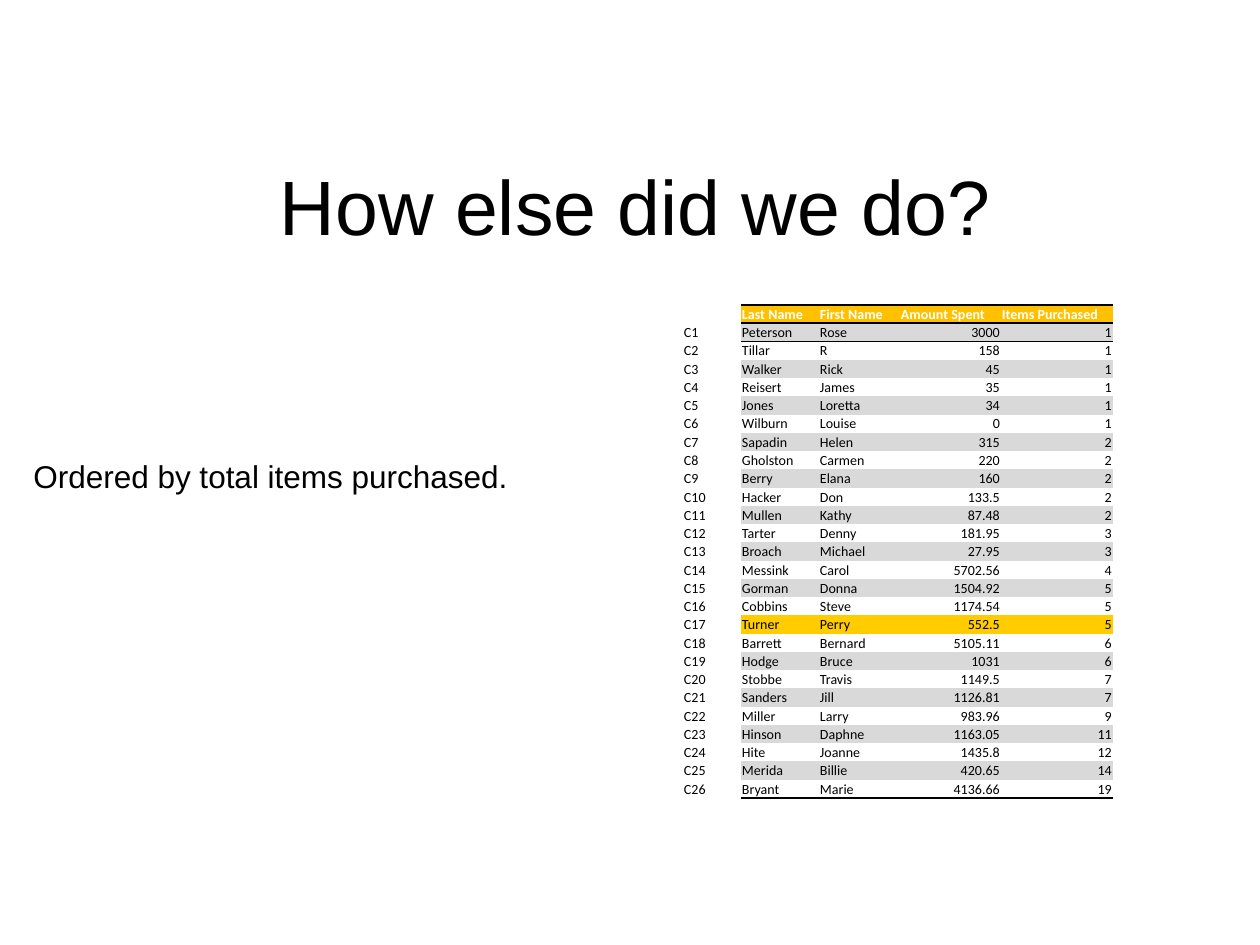
from typing import NamedTuple

from lxml.etree import SubElement
from pptx import Presentation
from pptx.dml.color import RGBColor
from pptx.enum.text import MSO_ANCHOR as Anchor, PP_ALIGN as Align
from pptx.oxml.ns import qn
from pptx.util import Emu, Pt

EMU_PER_PX = 914400 // 126
BLACK = RGBColor(0x00, 0x00, 0x00)
WHITE = RGBColor(0xFF, 0xFF, 0xFF)
GOLD = RGBColor(0xFF, 0xC0, 0x00)
YELLOW = RGBColor(0xFF, 0xCC, 0x00)
GRAY = RGBColor(0xD9, 0xD9, 0xD9)
NO_STYLE = "{2D5ABB26-0587-4C30-8999-92F81FD0307C}"

TABLE_HEIGHT = 489
COLUMN_WIDTHS = (58, 78, 81, 101, 112)
HEADINGS = ("", "Last Name", "First Name", "Amount Spent", "Items Purchased")
HIGHLIGHTED = "Turner"


class Box(NamedTuple):
    left: int
    top: int
    width: int
    height: int


class Customer(NamedTuple):
    last_name: str
    first_name: str
    amount: str
    items: int


CUSTOMERS = (
    Customer("Peterson", "Rose", "3000", 1),
    Customer("Tillar", "R", "158", 1),
    Customer("Walker", "Rick", "45", 1),
    Customer("Reisert", "James", "35", 1),
    Customer("Jones", "Loretta", "34", 1),
    Customer("Wilburn", "Louise", "0", 1),
    Customer("Sapadin", "Helen", "315", 2),
    Customer("Gholston", "Carmen", "220", 2),
    Customer("Berry", "Elana", "160", 2),
    Customer("Hacker", "Don", "133.5", 2),
    Customer("Mullen", "Kathy", "87.48", 2),
    Customer("Tarter", "Denny", "181.95", 3),
    Customer("Broach", "Michael", "27.95", 3),
    Customer("Messink", "Carol", "5702.56", 4),
    Customer("Gorman", "Donna", "1504.92", 5),
    Customer("Cobbins", "Steve", "1174.54", 5),
    Customer("Turner", "Perry", "552.5", 5),
    Customer("Barrett", "Bernard", "5105.11", 6),
    Customer("Hodge", "Bruce", "1031", 6),
    Customer("Stobbe", "Travis", "1149.5", 7),
    Customer("Sanders", "Jill", "1126.81", 7),
    Customer("Miller", "Larry", "983.96", 9),
    Customer("Hinson", "Daphne", "1163.05", 11),
    Customer("Hite", "Joanne", "1435.8", 12),
    Customer("Merida", "Billie", "420.65", 14),
    Customer("Bryant", "Marie", "4136.66", 19),
)


def px(length: int) -> Emu:
    return Emu(length * EMU_PER_PX)


def place(shape, box: Box) -> None:
    shape.left, shape.top, shape.width, shape.height = map(px, box)


def write(text_frame, text: str, *, size: int, font="Calibri", color=BLACK,
          bold=False, align=Align.LEFT) -> None:
    paragraph = text_frame.paragraphs[0]
    paragraph.alignment = align
    if not text:
        SubElement(paragraph._p, qn("a:endParaRPr"), sz=str(size * 100))
        return
    run = paragraph.add_run()
    run.text = text
    run.font.name = font
    run.font.size = Pt(size)
    run.font.bold = bold
    run.font.color.rgb = color


def draw_borders(cell, *sides: str) -> None:
    properties = cell._tc.get_or_add_tcPr()
    for index, side in enumerate(sides):
        line = SubElement(properties, qn(f"a:{side}"), w=str(Pt(1)))
        fill = SubElement(line, qn("a:solidFill"))
        SubElement(fill, qn("a:srgbClr"), val=str(BLACK))
        properties.insert(index, line)


def fill_cell(cell, color) -> None:
    if color is None:
        cell.fill.background()
    else:
        cell.fill.solid()
        cell.fill.fore_color.rgb = color


def row_color(row: int):
    if row == 0:
        return GOLD
    if CUSTOMERS[row - 1].last_name == HIGHLIGHTED:
        return YELLOW
    return GRAY if row % 2 else None


def format_cell(cell, row: int, column: int, text: str) -> None:
    header, label = row == 0, column == 0
    cell.margin_left = cell.margin_right = cell.margin_top = px(1)
    cell.margin_bottom = 0
    cell.vertical_anchor = Anchor.BOTTOM if header or label else Anchor.MIDDLE
    numeric = column >= 3 and not header
    write(cell.text_frame, text, size=8, bold=header,
          color=WHITE if header else BLACK,
          align=Align.RIGHT if numeric else Align.LEFT)
    fill_cell(cell, None if label else row_color(row))
    if label:
        return
    if header:
        draw_borders(cell, "lnT", "lnB")
    elif row == 1:
        draw_borders(cell, "lnT")
    elif row == len(CUSTOMERS):
        draw_borders(cell, "lnB")


def add_customer_table(slide, left: int, top: int) -> None:
    rows = [HEADINGS] + [
        (f"C{number}", *map(str, customer))
        for number, customer in enumerate(CUSTOMERS, 1)
    ]
    box = Box(left, top, sum(COLUMN_WIDTHS), TABLE_HEIGHT)
    table = slide.shapes.add_table(len(rows), len(HEADINGS), *map(px, box)).table
    table.first_row = table.horz_banding = False
    table._tbl.tblPr.find(qn("a:tableStyleId")).text = NO_STYLE
    for column, width in zip(table.columns, COLUMN_WIDTHS):
        column.width = px(width)
    for row, texts in enumerate(rows):
        table.rows[row].height = Emu(px(TABLE_HEIGHT) // len(rows))
        for column, text in enumerate(texts):
            format_cell(table.cell(row, column), row, column, text)


def main() -> None:
    presentation = Presentation()
    presentation.slide_width, presentation.slide_height = px(1260), px(945)
    slide = presentation.slides.add_slide(presentation.slide_layouts[5])

    title = slide.shapes.title
    place(title, Box(95, 126, 1081, 158))
    title.text_frame.vertical_anchor = Anchor.MIDDLE
    write(title.text_frame, "How else did we do?", size=44, font="Arial",
          align=Align.CENTER)

    add_customer_table(slide, 683, 305)

    caption = slide.shapes.add_textbox(*map(px, Box(21, 451, 630, 51)))
    caption.text_frame.word_wrap = True
    write(caption.text_frame, "Ordered by total items purchased.", size=18,
          font="Arial")

    presentation.save("out.pptx")


if __name__ == "__main__":
    main()
